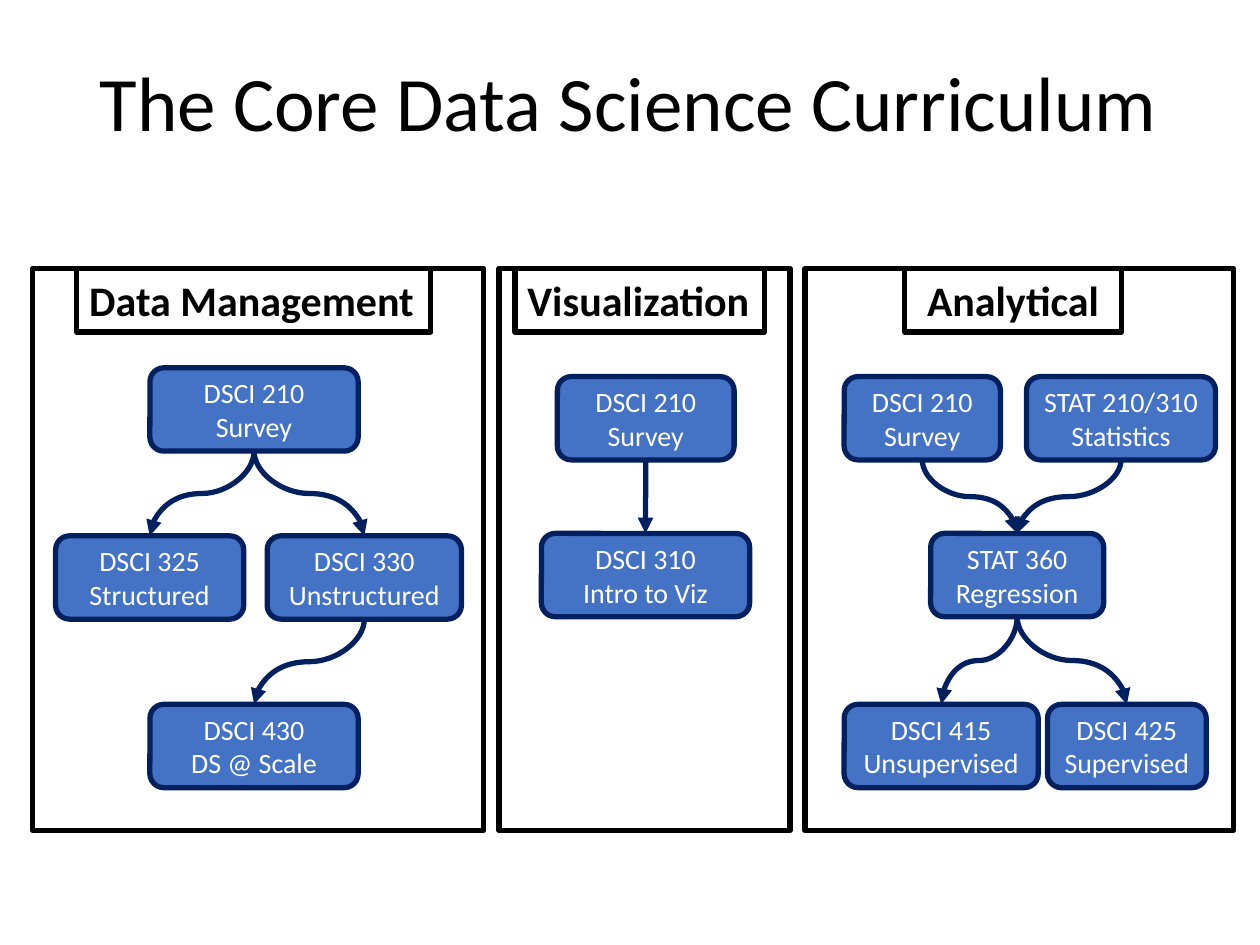
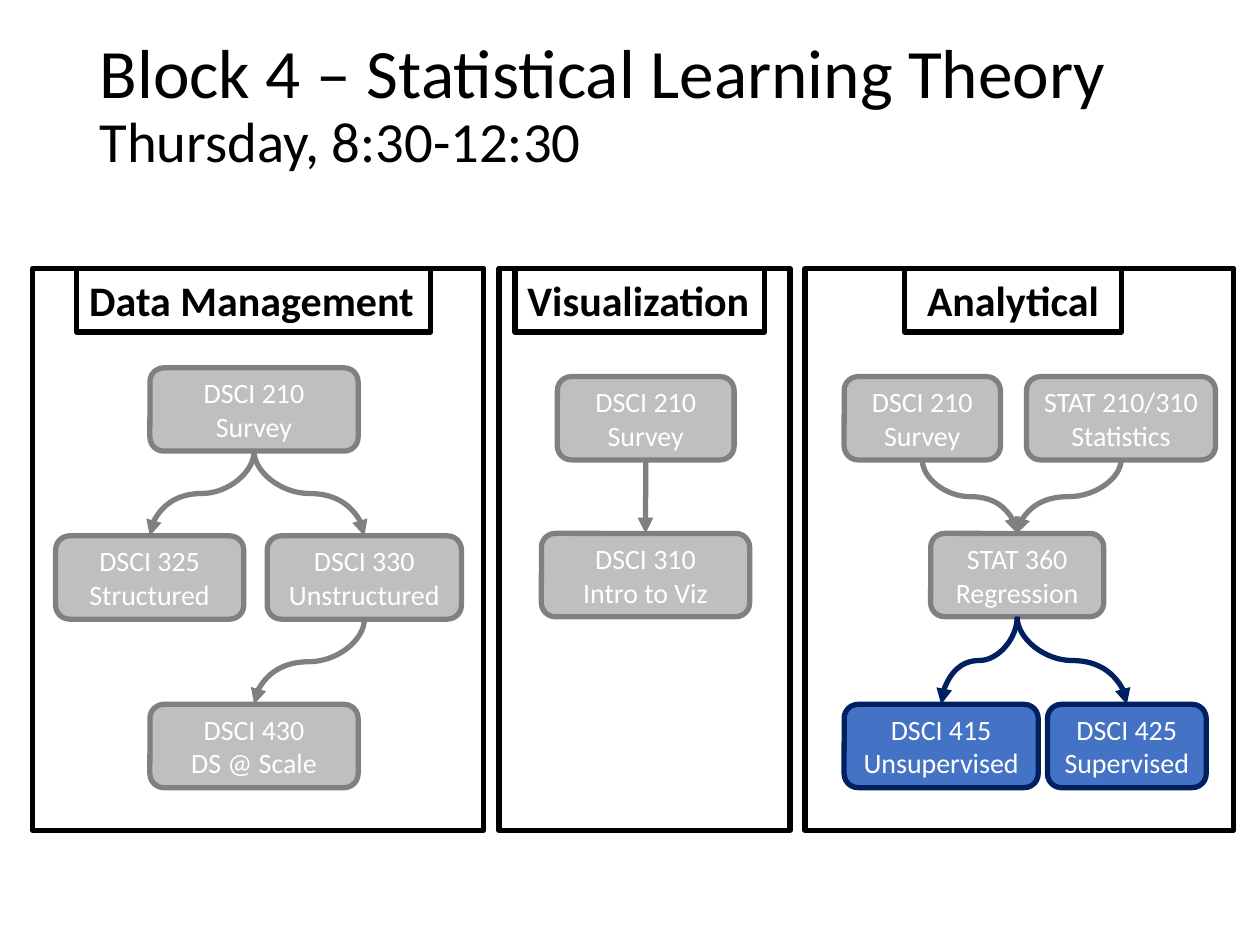
from dataclasses import dataclass
from lxml.etree import SubElement
from pptx import Presentation
from pptx.dml.color import RGBColor
from pptx.enum.shapes import MSO_CONNECTOR as Conn, MSO_SHAPE as Shape
from pptx.enum.text import MSO_ANCHOR as Anchor, MSO_AUTO_SIZE as Fit, PP_ALIGN as Align
from pptx.oxml.ns import qn
from pptx.util import Pt


@dataclass(frozen=True)
class Theme:
    font: str = "Calibri"
    ink: str = "000000"
    paper: str = "FFFFFF"
    active: tuple = ("4472C4", "002060")
    muted: tuple = ("BFBFBF", "808080")
    label_size: float = 24
    course_size: float = 16
    stroke: float = 3


T = Theme()
BOTTOM, TOP = 2, 0
TITLE_BOX = (49.7, 28.8, 620.6, 64.2)
PANEL_LEFT, PANEL_TOP, PANEL_HEIGHT, PANEL_GAP = 18.7, 153.4, 321.1, 8.65
LABEL_HEIGHT, COURSE_HEIGHT = 36.3, 47.6

SLIDES = [
    {"title": [("The Core Data Science Curriculum", 44)], "focus": None},
    {"title": [("Block 4 – Statistical Learning Theory", 39.6),
               ("Thursday, 8:30-12:30", 32.4)],
     "focus": {"DSCI 415", "DSCI 425"}},
]

TRACKS = [
    {"label": "Data Management", "label_span": (43.9, 202.3), "align": Align.LEFT,
     "wrap": False, "width": 257.8,
     "rows": [
         (210.2, [("DSCI 210", "Survey", 85.7, 119)]),
         (306.2, [("DSCI 325", "Structured", 31.8, 107.5),
                  ("DSCI 330", "Unstructured", 152.7, 111)]),
         (402.5, [("DSCI 430", "DS @ Scale", 85.7, 119)])],
     "paths": [("DSCI 210", "DSCI 325"), ("DSCI 210", "DSCI 330"),
               ("DSCI 330", "DSCI 430")]},
    {"label": "Visualization", "label_span": (294.3, 142.6), "align": Align.LEFT,
     "wrap": False, "width": 166.3,
     "rows": [
         (215.2, [("DSCI 210", "Survey", 318.5, 101)]),
         (304.8, [("DSCI 310", "Intro to Viz", 309.4, 119)])],
     "paths": [("DSCI 210", "DSCI 310")]},
    {"label": "Analytical", "label_span": (517, 123.8), "align": Align.CENTER,
     "wrap": True, "width": 244.8,
     "rows": [
         (215.2, [("DSCI 210", "Survey", 482.4, 89.3),
                  ("STAT 210/310", "Statistics", 586.6, 108)]),
         (304.8, [("STAT 360", "Regression", 531.8, 98.9)]),
         (402.5, [("DSCI 415", "Unsupervised", 482.4, 110.9),
                  ("DSCI 425", "Supervised", 598.6, 90.7)])],
     "paths": [("DSCI 210", "STAT 360"), ("STAT 210/310", "STAT 360"),
               ("STAT 360", "DSCI 415"), ("STAT 360", "DSCI 425")]},
]


def color(value):
    return RGBColor.from_string(value)


def add_text(p, text, *, size, ink=T.ink, bold=False, align=Align.LEFT):
    p.alignment = align
    r = p.add_run()
    r.text = text
    r.font.name, r.font.size, r.font.bold = T.font, Pt(size), bold
    r.font.color.rgb = color(ink)


def add_box(shapes, kind, box, line, fill=None):
    sp = shapes.add_shape(kind, *map(Pt, box))
    sp.shadow.inherit = False
    if fill:
        sp.fill.solid()
        sp.fill.fore_color.rgb = color(fill)
    else:
        sp.fill.background()
    sp.line.color.rgb, sp.line.width = color(line), Pt(T.stroke)
    return sp


def add_label(shapes, track):
    left, width = track["label_span"]
    sp = add_box(shapes, Shape.RECTANGLE, (left, PANEL_TOP, width, LABEL_HEIGHT), T.ink)
    tf = sp.text_frame
    tf.word_wrap, tf.auto_size = track["wrap"], Fit.SHAPE_TO_FIT_TEXT
    tf.vertical_anchor = Anchor.TOP
    add_text(tf.paragraphs[0], track["label"], size=T.label_size, bold=True,
             align=track["align"])


def add_course(shapes, course, top, colors):
    code, name, left, width = course
    fill, line = colors
    sp = add_box(shapes, Shape.ROUNDED_RECTANGLE, (left, top, width, COURSE_HEIGHT),
                 line, fill)
    tf = sp.text_frame
    tf.word_wrap, tf.vertical_anchor = True, Anchor.MIDDLE
    for p, text in zip((tf.paragraphs[0], tf.add_paragraph()), (code, name)):
        add_text(p, text, size=T.course_size, ink=T.paper, align=Align.CENTER)
    return sp


def add_path(shapes, start, end, line):
    x1, y1 = start.left + start.width // 2, start.top + start.height
    x2, y2 = end.left + end.width // 2, end.top
    cxn = shapes.add_connector(Conn.CURVE, x1, y1, x2, y2)
    cxn.begin_connect(start, BOTTOM)
    cxn.end_connect(end, TOP)
    drop, shift = y2 - y1, abs(x2 - x1)
    cxn.left, cxn.top = (x1 + x2 - drop) // 2, (y1 + y2 - shift) // 2
    cxn.width, cxn.height = drop, shift
    rightward = x2 > x1
    spPr = cxn._element.spPr
    xfrm = spPr.find(qn("a:xfrm"))
    xfrm.set("rot", str((270 if rightward else 90) * 60000))
    xfrm.set("flipH", "1" if rightward else "0")
    cxn.line.color.rgb, cxn.line.width = color(line), Pt(T.stroke)
    SubElement(spPr.find(qn("a:ln")), qn("a:tailEnd"), type="triangle")
    SubElement(spPr, qn("a:effectLst"))


def add_track(s, track, left, focus):
    def colors(code):
        return T.active if focus is None or code in focus else T.muted

    shapes = s.shapes.add_group_shape().shapes
    add_box(shapes, Shape.RECTANGLE, (left, PANEL_TOP, track["width"], PANEL_HEIGHT), T.ink)
    add_label(shapes, track)
    courses = {course[0]: add_course(shapes, course, top, colors(course[0]))
               for top, row in track["rows"] for course in row}
    for start, end in track["paths"]:
        add_path(shapes, courses[start], courses[end], colors(end)[1])


def add_title(s, lines):
    title = s.shapes.title
    title.left, title.top, title.width, title.height = map(Pt, TITLE_BOX)
    tf = title.text_frame
    tf.word_wrap, tf.auto_size, tf.vertical_anchor = True, Fit.NONE, Anchor.MIDDLE
    p = tf.paragraphs[0]
    p.line_spacing = 0.9
    for i, (text, size) in enumerate(lines):
        if i:
            p.add_line_break()
        add_text(p, text, size=size)


prs = Presentation()
prs.slide_width, prs.slide_height = Pt(720), Pt(540)
for content in SLIDES:
    s = prs.slides.add_slide(prs.slide_layouts[5])
    add_title(s, content["title"])
    left = PANEL_LEFT
    for track in TRACKS:
        add_track(s, track, left, content["focus"])
        left += track["width"] + PANEL_GAP
prs.save("out.pptx")
